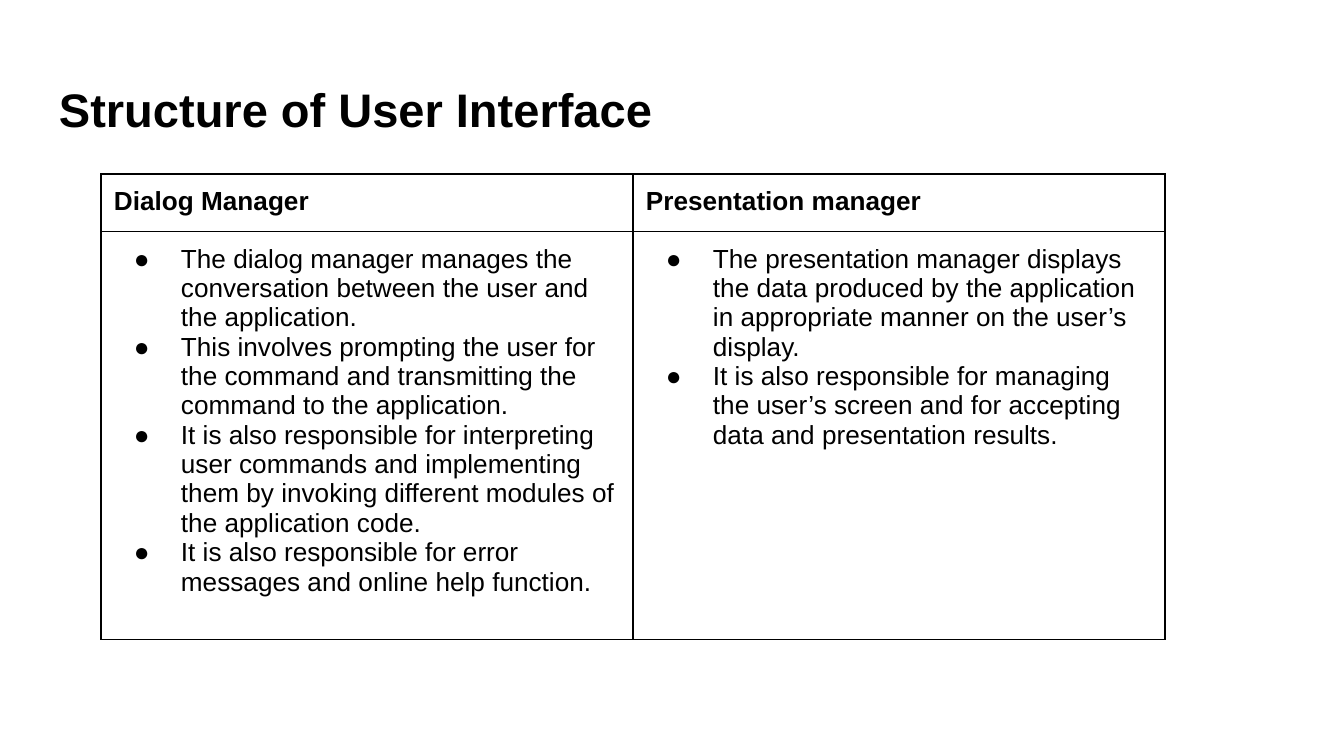
from lxml.etree import SubElement
from pptx import Presentation
from pptx.dml.color import RGBColor
from pptx.enum.text import MSO_ANCHOR
from pptx.oxml.ns import qn
from pptx.util import Pt

PX = 914400 / 134.4
BLACK = RGBColor(0x00, 0x00, 0x00)
FONT = "Arial"
INSET = 13
COL_WIDTH = 532
ROW_HEIGHTS = (56, 408)

COLUMNS = {
    "Dialog Manager": [
        "The dialog manager manages the conversation between the user and the application.",
        "This involves prompting the user for the command and transmitting the command to the application.",
        "It is also responsible for interpreting user commands and implementing them by invoking "
        "different modules of the application code.",
        "It is also responsible for error messages and online help function.",
    ],
    "Presentation manager": [
        "The presentation manager displays the data produced by the application in appropriate "
        "manner on the user’s display.",
        "It is also responsible for managing the user’s screen and for accepting data and "
        "presentation results.",
    ],
}


def px(n):
    return round(n * PX)


def set_margins(target):
    target.margin_left = target.margin_right = px(INSET)
    target.margin_top = target.margin_bottom = px(INSET)


def add_bullet(p):
    """Give the paragraph a hanging round bullet."""
    pPr = p._p.get_or_add_pPr()
    pPr.set("marL", str(px(67)))
    pPr.set("indent", str(px(-47)))
    color = SubElement(pPr, qn("a:buClr"))
    SubElement(color, qn("a:srgbClr"), val=str(BLACK))
    SubElement(pPr, qn("a:buFont"), typeface=FONT)
    SubElement(pPr, qn("a:buChar"), char="●")


def write(tf, lines, size=14, bold=False, bullets=False):
    """Write one paragraph per line into the text frame."""
    tf.word_wrap = True
    for i, line in enumerate(lines):
        p = tf.paragraphs[0] if i == 0 else tf.add_paragraph()
        if bullets:
            add_bullet(p)
        r = p.add_run()
        r.text = line
        r.font.name = FONT
        r.font.size = Pt(size)
        r.font.bold = bold
        r.font.color.rgb = BLACK


def set_borders(cell):
    tcPr = cell._tc.get_or_add_tcPr()
    for side in ("a:lnL", "a:lnR", "a:lnT", "a:lnB"):
        line = SubElement(tcPr, qn(side), w=str(Pt(0.75)))
        fill = SubElement(line, qn("a:solidFill"))
        SubElement(fill, qn("a:srgbClr"), val=str(BLACK))


def add_title(s, text):
    tf = s.shapes.add_textbox(px(46), px(66), px(1252), px(85)).text_frame
    set_margins(tf)
    tf.vertical_anchor = MSO_ANCHOR.MIDDLE
    write(tf, [text], size=25.2, bold=True)


def add_cell(cell, lines, **text_format):
    set_margins(cell)
    set_borders(cell)
    cell.fill.background()
    write(cell.text_frame, lines, **text_format)


def add_comparison(s, columns):
    """Add a table with a heading and a bullet list in each column."""
    table = s.shapes.add_table(
        len(ROW_HEIGHTS), len(columns), px(101), px(174),
        px(COL_WIDTH * len(columns)), px(sum(ROW_HEIGHTS)),
    ).table
    table.first_row = table.horz_banding = False
    for row, height in zip(table.rows, ROW_HEIGHTS):
        row.height = px(height)
    for i, (heading, points) in enumerate(columns.items()):
        table.columns[i].width = px(COL_WIDTH)
        add_cell(table.cell(0, i), [heading], bold=True)
        add_cell(table.cell(1, i), points, bullets=True)


def main():
    prs = Presentation()
    prs.slide_width, prs.slide_height = px(1344), px(756)
    s = prs.slides.add_slide(prs.slide_layouts[6])
    add_title(s, "Structure of User Interface")
    add_comparison(s, COLUMNS)
    prs.save("out.pptx")


if __name__ == "__main__":
    main()
